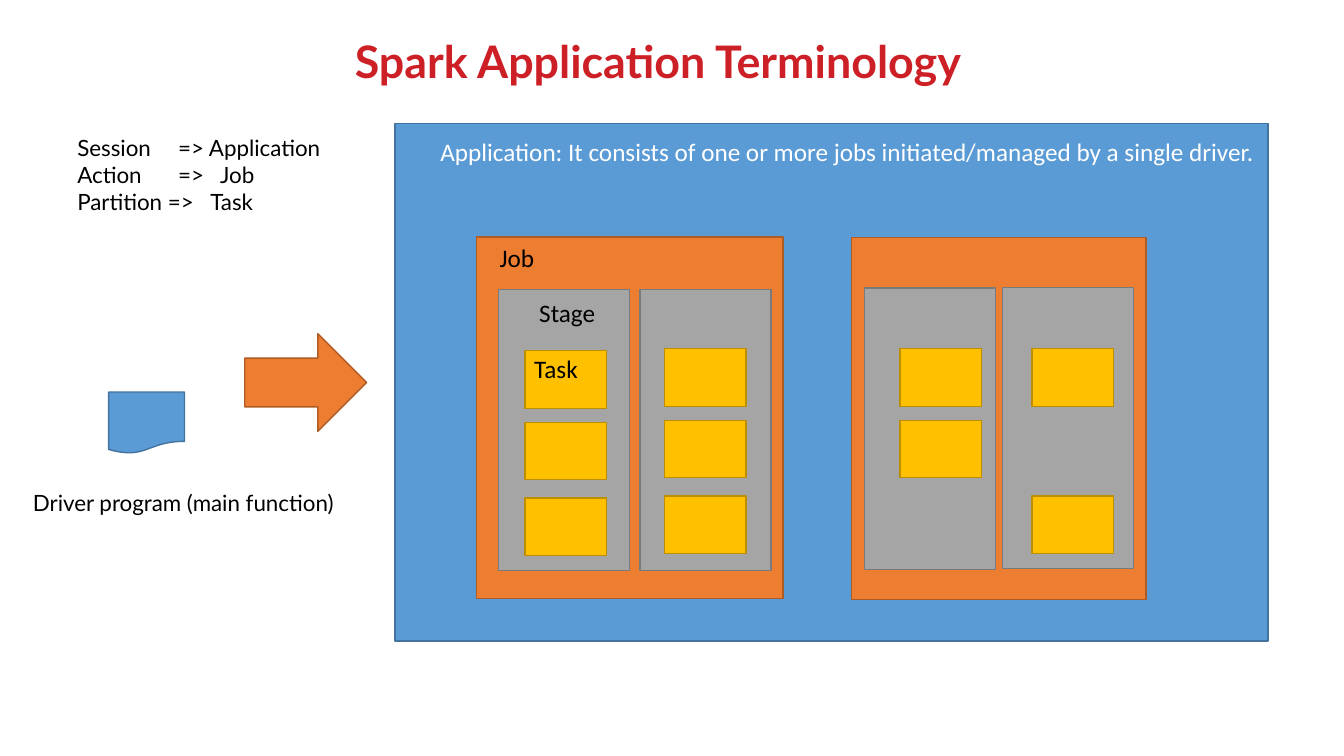
from pptx import Presentation
from pptx.dml.color import RGBColor
from pptx.enum import shapes, text
from pptx.util import Cm, Pt
from lxml import etree

TITLE = "Spark Application Terminology"
# Text of each line and its tab stops in cm
TERMS = [
    ("Session\t=> Application", [2.54]),
    ("Action\t=>\tJob", [2.54, 3.6]),
    ("Partition =>\tTask", [3.35]),
]
DRIVER = "Driver program (main function)"
APPLICATION = "Application: It consists of one or more jobs initiated/managed by a single driver."

# Lengths in cm: left, top, width, height
JOBS = [
    {"box": (12.01, 5.97, 7.72, 9.12), "stages": [
        {"corner": (12.57, 7.29), "tasks": (13.23, 8.84), "rows": [0, 1, 2]},
        {"corner": (16.13, 7.29), "tasks": (16.74, 8.79), "rows": [0, 1, 2]},
    ]},
    {"box": (21.46, 5.99, 7.42, 9.12), "stages": [
        {"corner": (21.79, 7.26), "tasks": (22.68, 8.79), "rows": [0, 1]},
        {"corner": (25.27, 7.24), "tasks": (26.01, 8.79), "rows": [0, 2]},
    ]},
]
LABELS = [
    ("Job", (12.34, 5.97, 1.75, 1.02)),
    ("Stage", (13.34, 7.37, 2.26, 1.02)),
    ("Task", (13.21, 8.79, 2.26, 1.02)),
]
STAGE_SIZE = (3.3, 7.09)
TASK_SIZE = (2.06, 1.45)
ROW_OFFSETS = [0, 1.8, 3.71]

BLUE = ("5B9BD5", "43739E")
ORANGE = ("ED7D31", "AF5C24")
GRAY = ("A5A5A5", "7A7A7A")
YELLOW = ("FFC000", "BD8E00")
BLACK, WHITE, RED = "000000", "FFFFFF", "CD1F26"


def color(value):
    return RGBColor.from_string(value)


def set_font(paragraph, name, size, value):
    paragraph.font.name = name
    paragraph.font.size = Pt(size)
    paragraph.font.color.rgb = color(value)


def add_box(slide, box, colors, kind=shapes.MSO_SHAPE.RECTANGLE):
    shape = slide.shapes.add_shape(kind, *map(Cm, box))
    shape.shadow.inherit = False
    shape.fill.solid()
    shape.fill.fore_color.rgb = color(colors[0])
    shape.line.color.rgb = color(colors[1])
    shape.line.width = Pt(1)


def add_tabs(paragraph, stops):
    properties = paragraph._p.get_or_add_pPr()
    namespace = properties.nsmap["a"]
    tabs = etree.SubElement(properties, f"{{{namespace}}}tabLst")
    for stop in stops:
        etree.SubElement(tabs, f"{{{namespace}}}tab", pos=str(Cm(stop)), algn="l")


def add_text(slide, box, lines, name, size, value):
    """Add a text box from pairs of line text and tab stops."""
    frame = slide.shapes.add_textbox(*map(Cm, box)).text_frame
    frame.word_wrap = True
    for index, (line, stops) in enumerate(lines):
        paragraph = frame.add_paragraph() if index else frame.paragraphs[0]
        paragraph.text = line
        if stops:
            add_tabs(paragraph, stops)
        set_font(paragraph, name, size, value)


def add_title(slide):
    title = slide.shapes.title
    title.left, title.top, title.width, title.height = map(Cm, (3.89, 0.64, 25.4, 1.7))
    frame = title.text_frame
    frame.text = TITLE
    frame.auto_size = text.MSO_AUTO_SIZE.NONE
    frame.vertical_anchor = text.MSO_ANCHOR.BOTTOM
    paragraph = frame.paragraphs[0]
    paragraph.alignment = text.PP_ALIGN.CENTER
    paragraph.line_spacing = 0.9
    set_font(paragraph, "Lato", 32, RED)
    paragraph.font.bold = True


def add_job(slide, job):
    add_box(slide, job["box"], ORANGE)
    for stage in job["stages"]:
        add_box(slide, stage["corner"] + STAGE_SIZE, GRAY)
        left, top = stage["tasks"]
        for row in stage["rows"]:
            add_box(slide, (left, top + ROW_OFFSETS[row]) + TASK_SIZE, YELLOW)


def main():
    presentation = Presentation()
    presentation.slide_width, presentation.slide_height = Cm(33.87), Cm(19.05)
    slide = presentation.slides.add_slide(presentation.slide_layouts[5])
    add_title(slide)

    add_box(slide, (2.74, 9.88, 1.91, 1.55), BLUE, shapes.MSO_SHAPE.FLOWCHART_DOCUMENT)
    add_text(slide, (0.58, 12.19, 9.4, 0.94), [(DRIVER, [])], "Lato", 16, BLACK)
    add_box(slide, (9.96, 3.12, 22, 13.03), BLUE)
    add_text(slide, (10.85, 3.3, 21.11, 1.02), [(APPLICATION, [])], "Calibri", 18, WHITE)
    for job in JOBS:
        add_job(slide, job)
    for label, box in LABELS:
        add_text(slide, box, [(label, [])], "Calibri", 18, BLACK)
    add_box(slide, (6.17, 8.41, 3.07, 2.46), ORANGE, shapes.MSO_SHAPE.RIGHT_ARROW)
    add_text(slide, (1.7, 3.25, 7.14, 2.31), TERMS, "Lato", 16, BLACK)

    presentation.save("out.pptx")


if __name__ == "__main__":
    main()
